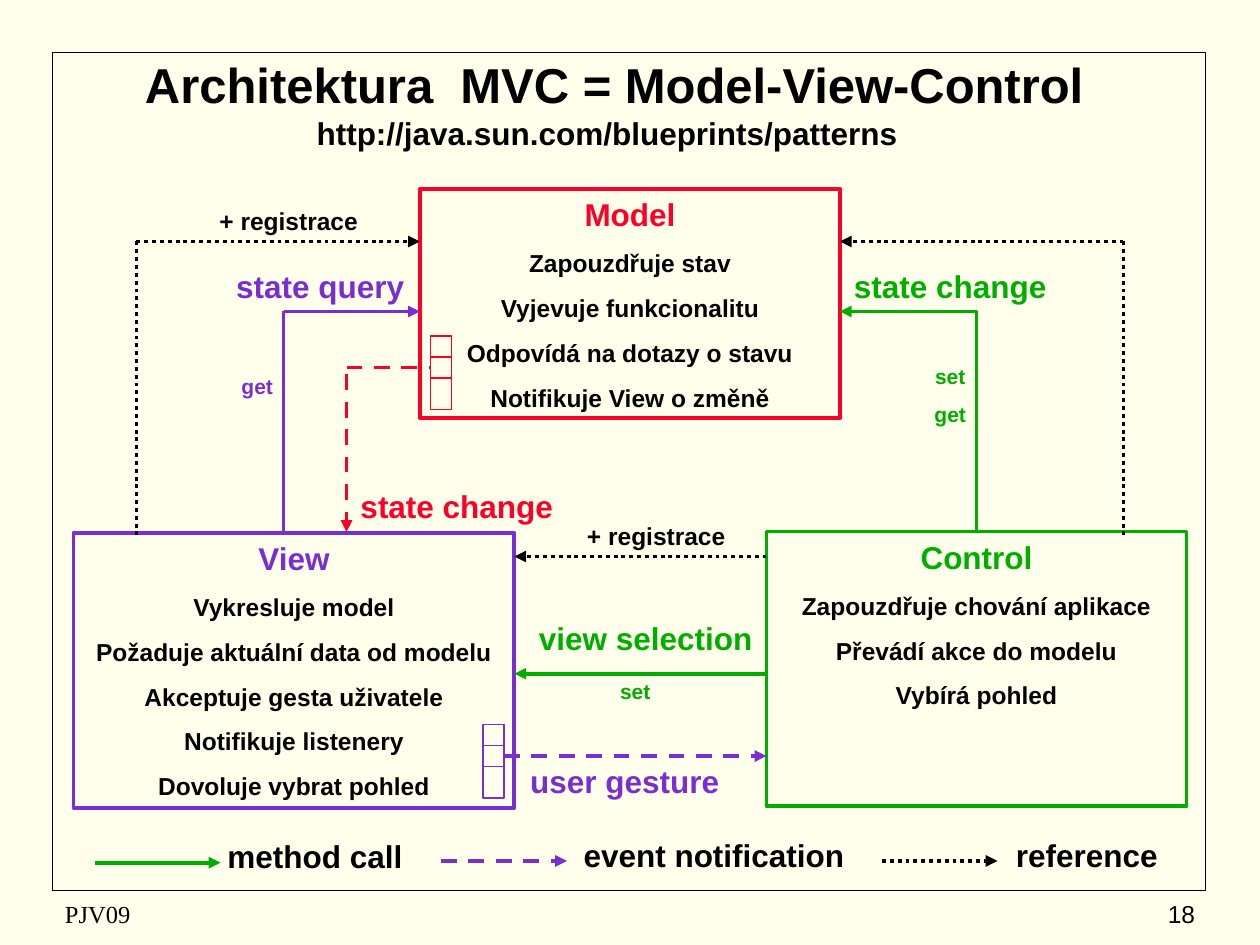
from typing import NamedTuple, Optional

from lxml.etree import SubElement
from pptx import Presentation
from pptx.dml.color import RGBColor
from pptx.enum.dml import MSO_LINE_DASH_STYLE as Dash
from pptx.enum.shapes import MSO_CONNECTOR, MSO_SHAPE
from pptx.enum.text import MSO_ANCHOR as Anchor, PP_ALIGN as Align
from pptx.oxml.ns import qn
from pptx.util import Pt

BLACK, RED, VIOLET, GREEN, CREAM = "000000", "FC0128", "7B2ED0", "00AE00", "FFFFEB"


class Component(NamedTuple):
    name: str
    color: str
    left: float
    top: float
    width: float
    height: float
    duties: list[str]


class Arrow(NamedTuple):
    start: tuple[float, float]
    end: tuple[float, float]
    color: str
    dash: Optional[Dash] = None
    pointed: bool = True


class Label(NamedTuple):
    lines: list[str]
    left: float
    top: float
    width: float
    size: float = 18
    color: str = BLACK


class Listeners(NamedTuple):
    left: float
    top: float
    color: str


COMPONENTS = [
    Component("Model", RED, 240, 108, 240, 131, [
        "Zapouzdřuje stav", "Vyjevuje funkcionalitu",
        "Odpovídá na dotazy o stavu", "Notifikuje View o změně"]),
    Component("View", VIOLET, 42, 304.5, 252, 157, [
        "Vykresluje model", "Požaduje aktuální data od modelu",
        "Akceptuje gesta uživatele", "Notifikuje listenery",
        "Dovoluje vybrat pohled"]),
    Component("Control", GREEN, 438, 303.7, 240, 157, [
        "Zapouzdřuje chování aplikace", "Převádí akce do modelu",
        "Vybírá pohled"]),
]

ARROWS = [
    Arrow((162, 178), (240, 178), VIOLET),
    Arrow((162, 178), (162, 304), VIOLET, pointed=False),
    Arrow((558, 178), (480, 178), GREEN),
    Arrow((438, 385), (294, 385), GREEN),
    Arrow((198, 214), (198, 304), RED, Dash.DASH),
    Arrow((198, 210), (246, 210), RED, Dash.DASH, False),
    Arrow((288, 432), (438, 432), VIOLET, Dash.DASH),
    Arrow((642, 138), (480, 138), BLACK, Dash.ROUND_DOT),
    Arrow((642, 138), (642, 306), BLACK, Dash.ROUND_DOT, False),
    Arrow((78, 138), (240, 138), BLACK, Dash.ROUND_DOT),
    Arrow((78, 138), (78, 306), BLACK, Dash.ROUND_DOT, False),
    Arrow((438, 318), (294, 318), BLACK, Dash.ROUND_DOT),
    Arrow((54, 493), (126, 493), GREEN),
    Arrow((252, 492), (324, 492), VIOLET, Dash.DASH),
    Arrow((504, 492), (570, 492), BLACK, Dash.ROUND_DOT),
]

SET_GET_LINK = Arrow((558, 178), (558, 303.7), GREEN, pointed=False)

LABELS = [
    Label(["http://java.sun.com/blueprints/patterns"], 159, 61.5, 376),
    Label(["state query"], 102, 149, 162, color=VIOLET),
    Label(["state change"], 462, 149, 162, color=GREEN),
    Label(["state change"], 180, 274.5, 162, color=RED),
    Label(["view selection"], 288, 350, 162, color=GREEN),
    Label(["user gesture"], 294, 432, 126, color=VIOLET),
    Label(["+ registrace"], 102, 114, 126, 14),
    Label(["+ registrace"], 312, 294, 126, 14),
    Label(["get"], 126, 210, 42, 12, VIOLET),
    Label(["set", "get"], 522, 204, 42, 12, GREEN),
    Label(["set"], 342, 384, 42, 12, GREEN),
    Label(["method call"], 105, 475, 150),
    Label(["event notification"], 318, 474, 180),
    Label(["reference"], 558, 474, 126),
]

LISTENERS = [Listeners(246, 192, RED), Listeners(276, 414, VIOLET)]


def rgb(code: str) -> RGBColor:
    return RGBColor.from_string(code)


def write(frame, text: str, *, size: float, color: str = BLACK, bold: bool = True,
          font: str = "Arial", align: Align = Align.CENTER,
          anchor: Anchor = Anchor.TOP, first: bool = True) -> None:
    frame.word_wrap = True
    frame.vertical_anchor = anchor
    paragraph = frame.paragraphs[0] if first else frame.add_paragraph()
    if not first:
        paragraph.space_before = Pt(size * 0.625)
    paragraph.alignment = align
    run = paragraph.add_run()
    run.text = text
    run.font.name = font
    run.font.size = Pt(size)
    run.font.bold = bold
    run.font.color.rgb = rgb(color)


def add_text(slide, left: float, top: float, width: float, height: float):
    return slide.shapes.add_textbox(Pt(left), Pt(top), Pt(width), Pt(height)).text_frame


def add_outline(slide, left: float, top: float, width: float, height: float,
                color: str, weight: float):
    outline = slide.shapes.add_shape(
        MSO_SHAPE.RECTANGLE, Pt(left), Pt(top), Pt(width), Pt(height))
    outline.shadow.inherit = False
    outline.fill.background()
    outline.line.color.rgb = rgb(color)
    outline.line.width = Pt(weight)
    return outline


def draw_component(slide, part: Component):
    box = add_outline(slide, part.left, part.top, part.width, part.height,
                      part.color, 2.25)
    write(box.text_frame, part.name, size=18, color=part.color)
    for duty in part.duties:
        write(box.text_frame, duty, size=14, first=False)
    return box


def draw_arrow(slide, arrow: Arrow, weight: float = 2.25):
    link = slide.shapes.add_connector(
        MSO_CONNECTOR.STRAIGHT, *map(Pt, arrow.start + arrow.end))
    link.line.color.rgb = rgb(arrow.color)
    link.line.width = Pt(weight)
    if arrow.dash is not None:
        link.line.dash_style = arrow.dash
    if arrow.pointed:
        SubElement(link.line._get_or_add_ln(), qn("a:tailEnd"), type="triangle")
    SubElement(link._element.spPr, qn("a:effectLst"))
    return link


def draw_label(slide, label: Label) -> None:
    height = 7.2 + len(label.lines) * label.size * 1.2
    frame = add_text(slide, label.left, label.top, label.width, height)
    for index, line in enumerate(label.lines):
        write(frame, line, size=label.size, color=label.color, first=index == 0)


def draw_listeners(slide, stack: Listeners) -> None:
    add_outline(slide, stack.left, stack.top, 12, 42, stack.color, 0.75)
    for offset in (12, 24):
        y = stack.top + offset
        draw_arrow(slide, Arrow((stack.left, y), (stack.left + 12, y),
                                stack.color, pointed=False), 0.75)


def main() -> None:
    deck = Presentation()
    deck.slide_width, deck.slide_height = Pt(720), Pt(540)
    slide = deck.slides.add_slide(deck.slide_layouts[6])
    slide.background.fill.solid()
    slide.background.fill.fore_color.rgb = rgb(CREAM)

    add_outline(slide, 30, 30, 659, 479, BLACK, 1)
    write(add_text(slide, 30, 24, 642, 48), "Architektura  MVC = Model-View-Control",
          size=28, anchor=Anchor.MIDDLE)

    boxes = {part.name: draw_component(slide, part) for part in COMPONENTS}
    for arrow in ARROWS:
        draw_arrow(slide, arrow)
    draw_arrow(slide, SET_GET_LINK).end_connect(boxes["Control"], 0)
    for label in LABELS:
        draw_label(slide, label)
    for stack in LISTENERS:
        draw_listeners(slide, stack)

    write(add_text(slide, 30, 510, 228, 24), "PJV09", size=14, bold=False,
          font="Times New Roman", align=Align.LEFT, anchor=Anchor.MIDDLE)
    write(add_text(slide, 540, 510, 150, 24), "18", size=14, bold=False,
          align=Align.RIGHT, anchor=Anchor.MIDDLE)
    deck.save("out.pptx")


if __name__ == "__main__":
    main()
